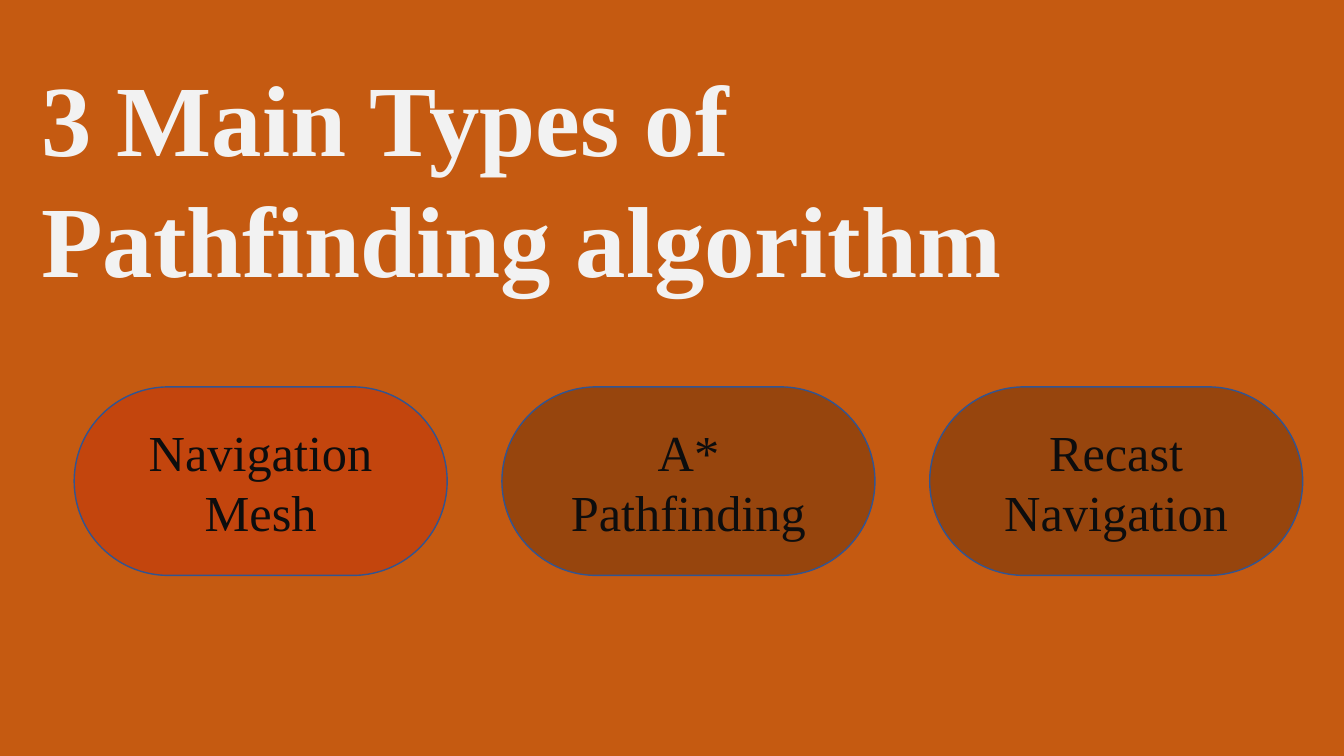
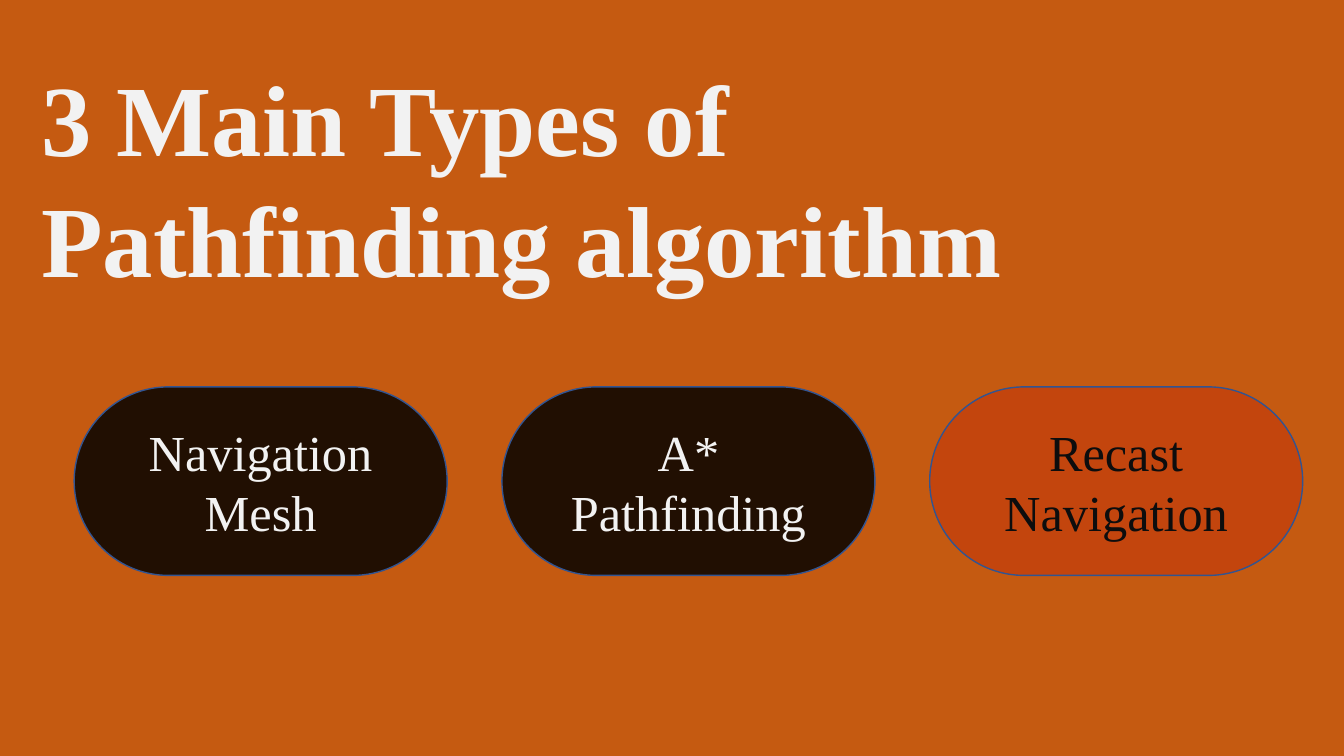
from pptx import Presentation
from pptx.dml.color import RGBColor
from pptx.enum.shapes import MSO_SHAPE
from pptx.enum.text import MSO_ANCHOR, PP_ALIGN
from pptx.oxml.ns import qn
from pptx.util import Cm, Pt
from lxml import etree

# Content
TITLE = "3 Main Types of Pathfinding algorithm"
ALGORITHMS = ["Navigation Mesh", "A* Pathfinding", "Recast Navigation"]

# Shared look
ORANGE = RGBColor(0xC5, 0x5A, 0x11)
RED = RGBColor(0xC0, 0x00, 0x00)
BLACK = RGBColor(0x00, 0x00, 0x00)
OUTLINE_BLUE = RGBColor(0x32, 0x54, 0x91)
LIGHT = RGBColor(0xF2, 0xF2, 0xF2)
DARK = RGBColor(0x0D, 0x0D, 0x0D)
FONT = "Times New Roman"
PILL = MSO_SHAPE.ROUNDED_RECTANGLE
MIDDLE = MSO_ANCHOR.MIDDLE
CENTER = PP_ALIGN.CENTER

# Pill styles: fill, opacity in percent, text colour
ACTIVE = (RED, 23, DARK)
UPCOMING = (BLACK, 23, DARK)
DIMMED = (BLACK, 83, LIGHT)

# One list of pill styles per slide
SLIDES = [
    [ACTIVE, UPCOMING, UPCOMING],
    [DIMMED, DIMMED, ACTIVE],
]

# Pill row
PILL_LEFT, PILL_TOP = Cm(1.87), Cm(9.75)
PILL_WIDTH, PILL_HEIGHT = Cm(9.4), Cm(4.75)
PILL_STEP = Cm(10.78)


def style_text(paragraph, size, color, bold=False):
    font = paragraph.runs[0].font
    font.name = FONT
    font.size = Pt(size)
    font.bold = bold
    font.color.rgb = color


def add_title(slide):
    title = slide.shapes.add_textbox(Cm(0.79), Cm(1.27), Cm(25), Cm(6.4))
    frame = title.text_frame
    frame.word_wrap = True
    frame.text = TITLE
    style_text(frame.paragraphs[0], 72, LIGHT, bold=True)


def add_pill(slide, column, label, style):
    fill_color, opacity, text_color = style
    pill = slide.shapes.add_shape(
        PILL, PILL_LEFT + column * PILL_STEP, PILL_TOP, PILL_WIDTH, PILL_HEIGHT)
    pill.adjustments[0] = 0.5
    pill.shadow.inherit = False
    pill.fill.solid()
    pill.fill.fore_color.rgb = fill_color
    color_xml = pill.fill._xPr.find(qn("a:solidFill"))[0]
    etree.SubElement(color_xml, qn("a:alpha"), val=str(opacity * 1000))
    pill.line.color.rgb = OUTLINE_BLUE
    pill.line.width = Pt(1)

    frame = pill.text_frame
    frame.word_wrap = True
    frame.vertical_anchor = MIDDLE
    frame.text = label
    paragraph = frame.paragraphs[0]
    paragraph.alignment = CENTER
    style_text(paragraph, 36, text_color)


def main():
    deck = Presentation()
    deck.slide_width, deck.slide_height = Cm(33.87), Cm(19.05)
    blank = deck.slide_layouts[6]
    for styles in SLIDES:
        slide = deck.slides.add_slide(blank)
        slide.background.fill.solid()
        slide.background.fill.fore_color.rgb = ORANGE
        for column, (label, style) in enumerate(zip(ALGORITHMS, styles)):
            add_pill(slide, column, label, style)
        add_title(slide)
    deck.save("out.pptx")


if __name__ == "__main__":
    main()
